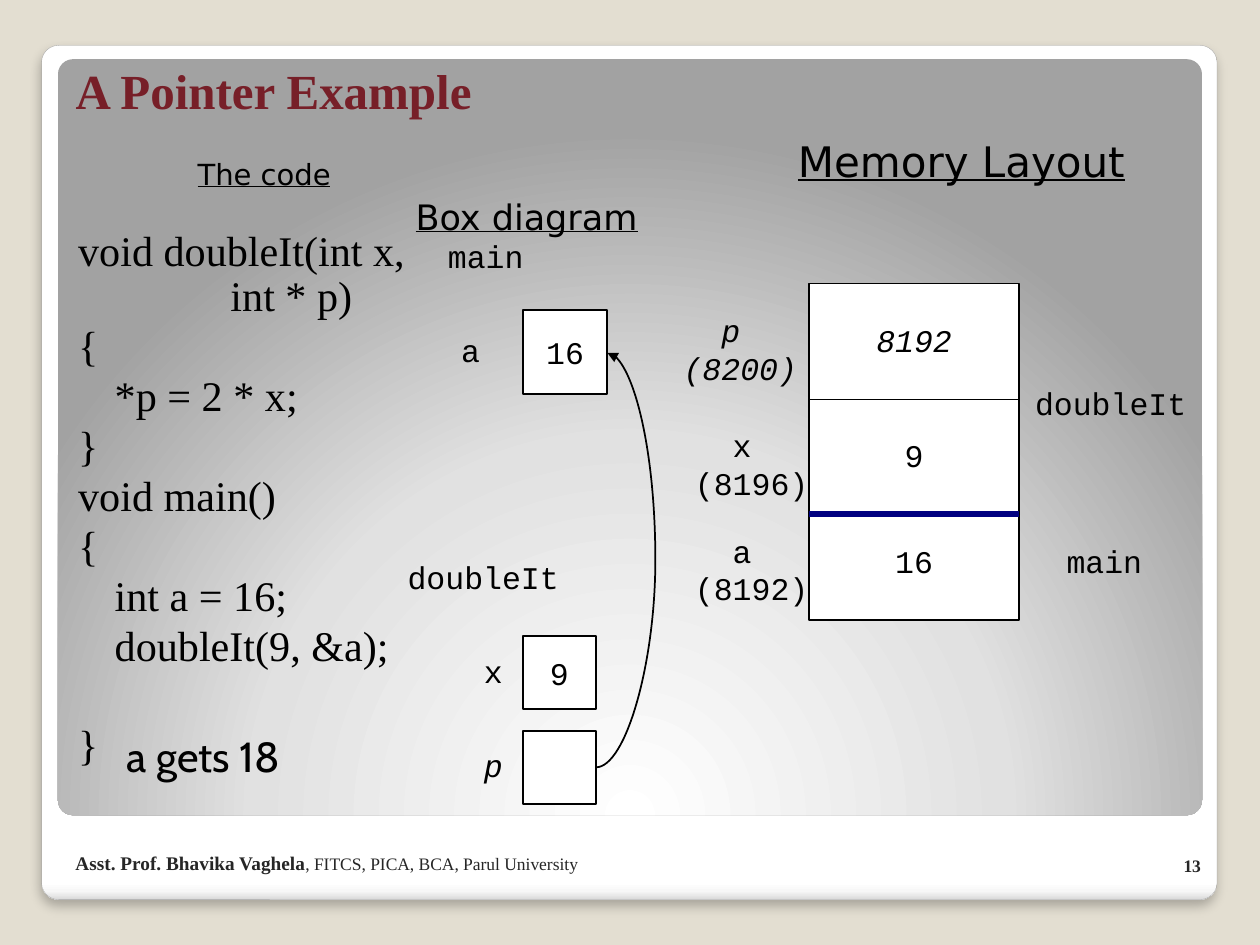
from dataclasses import dataclass

from lxml.etree import SubElement
from pptx import Presentation
from pptx.dml.color import RGBColor
from pptx.enum.shapes import MSO_CONNECTOR, MSO_SHAPE
from pptx.enum.text import MSO_ANCHOR, PP_ALIGN
from pptx.oxml import parse_xml
from pptx.oxml.ns import nsdecls, qn
from pptx.util import Inches, Pt

BEIGE = RGBColor(0xE3, 0xDE, 0xD1)
WHITE = RGBColor(0xFF, 0xFF, 0xFF)
BLACK = RGBColor(0x00, 0x00, 0x00)
NAVY = RGBColor(0x00, 0x00, 0x80)
MAROON = RGBColor(0x77, 0x1F, 0x28)
CHARCOAL = RGBColor(0x26, 0x26, 0x26)
EDGE_GRAY = RGBColor(0xA4, 0xA4, 0xA4)
FOG = RGBColor(0xF7, 0xF7, 0xF7)
SILVER = RGBColor(0xDA, 0xDA, 0xDA)
MIST = RGBColor(0xE1, 0xE1, 0xE1)
STONE = RGBColor(0xA2, 0xA2, 0xA2)

SERIF = "Times New Roman"
MONO = {"name": "Courier New", "size": Pt(18)}
ITALIC_MONO = MONO | {"italic": True}
HEADING = {"name": "DejaVu Sans", "underline": True}
FOOTER = {"name": SERIF, "size": Pt(10), "bold": True}

CODE_LINES = [
    "void doubleIt(int x, \n           int * p)",
    "{", "\t*p = 2 * x;", "}",
    "void main()", "{", "\tint a = 16;", "\tdoubleIt(9, &a);", "}",
]


@dataclass
class Box:
    left: float
    top: float
    width: float
    height: float

    def inside(self, left, top, width, height):
        return Box(self.left + left, self.top + top, width, height)

    def lengths(self):
        return [Inches(v) for v in (self.left, self.top, self.width, self.height)]


def format_font(font, values, color=BLACK):
    for name, value in values.items():
        setattr(font, name, value)
    font.color.rgb = color


def write_text(shape, text, values, color=BLACK, align=PP_ALIGN.CENTER,
               anchor=MSO_ANCHOR.TOP, wrap=False):
    frame = shape.text_frame
    frame.word_wrap = wrap
    frame.vertical_anchor = anchor
    paragraph = frame.paragraphs[0]
    paragraph.text = text
    paragraph.alignment = align
    format_font(paragraph.font, values, color)
    return paragraph


def add_label(slide, box, text, values, **options):
    shape = slide.shapes.add_textbox(*box.lengths())
    return write_text(shape, text, values, **options)


def add_outline(slide, box, kind=MSO_SHAPE.RECTANGLE):
    shape = slide.shapes.add_shape(kind, *box.lengths())
    shape.shadow.inherit = False
    shape.fill.solid()
    shape.fill.fore_color.rgb = WHITE
    shape.line.color.rgb = BLACK
    shape.line.width = Pt(1)
    return shape


def add_line(slide, start, end, kind=MSO_CONNECTOR.STRAIGHT, color=BLACK, width=1):
    line = slide.shapes.add_connector(kind, *[Inches(v) for v in (*start, *end)])
    line.line.color.rgb = color
    line.line.width = Pt(width)
    SubElement(line._element.spPr, qn("a:effectLst"))
    return line


def set_gradient(shape, stops, direction):
    shape.fill.gradient()
    properties = shape._element.spPr
    marks = "".join(
        f'<a:gs pos="{position * 1000}"><a:srgbClr val="{color}"/></a:gs>'
        for position, color in stops)
    properties.replace(properties.find(qn("a:gradFill")), parse_xml(
        f'<a:gradFill {nsdecls("a")} rotWithShape="1">'
        f"<a:gsLst>{marks}</a:gsLst>{direction}</a:gradFill>"))


def add_backdrop(slide, box):
    card = add_outline(slide, box, MSO_SHAPE.ROUNDED_RECTANGLE)
    panel = add_outline(slide, box.inside(0.13, 0.11, 9.08, 6), MSO_SHAPE.ROUNDED_RECTANGLE)
    for shape in (card, panel):
        shape.adjustments[0] = 0.02
    set_gradient(card, [(0, WHITE), (98, WHITE), (99, FOG), (100, SILVER)],
                 '<a:lin ang="5400000" scaled="0"/>')
    card.line.color.rgb = EDGE_GRAY
    card.line.width = Pt(0.16)
    card._element.spPr.find(qn("a:effectLst")).append(parse_xml(
        f'<a:outerShdw {nsdecls("a")} blurRad="{Pt(6)}" dist="{Pt(4)}" dir="5400000">'
        '<a:srgbClr val="000000"><a:alpha val="25000"/></a:srgbClr></a:outerShdw>'))
    set_gradient(panel, [(0, WHITE), (55, MIST), (100, STONE)],
                 '<a:path path="circle">'
                 '<a:fillToRect l="50000" t="175000" r="50000" b="-75000"/></a:path>')
    panel.line.fill.background()


def place_title(slide, box):
    title = slide.shapes.title
    title.left, title.top, title.width, title.height = box.lengths()
    write_text(title, "A Pointer Example", {"name": SERIF, "size": Pt(28), "bold": True},
               color=MAROON, align=PP_ALIGN.LEFT, anchor=MSO_ANCHOR.BOTTOM, wrap=True)


def add_code(slide, box):
    shape = slide.shapes.add_textbox(*box.lengths())
    write_text(shape, "The code", HEADING | {"size": Pt(16.6)}, wrap=True)
    frame = shape.text_frame
    margins = {"margin_left": 0.2, "margin_top": 0.1, "margin_right": 0.1, "margin_bottom": 0.05}
    for name, value in margins.items():
        setattr(frame, name, Inches(value))
    frame.paragraphs[0].line_spacing = 0.9
    gaps = [22] + [2.5] * (len(CODE_LINES) - 2) + [31]
    for text, gap in zip(CODE_LINES, gaps):
        paragraph = frame.add_paragraph()
        paragraph.text = text
        paragraph.line_spacing = 0.9
        paragraph.space_before = Pt(gap)
        properties = paragraph._p.get_or_add_pPr()
        properties.set("marL", str(Inches(0.29)))
        properties.set("indent", str(Inches(-0.29)))
        format_font(paragraph.font, {"name": SERIF, "size": Pt(24.1)})
    add_label(slide, box.inside(0.41, 4.58, 1.57, 0.5), "a gets 18",
              {"name": "Cabin", "size": Pt(24)})


def add_box_diagram(slide, box):
    add_label(slide, box.inside(0, 0, box.width, 0.61), "Box diagram", HEADING | {"size": Pt(20)})
    add_label(slide, box.inside(0.71, 0.33, 0.87, 0.43), "main", MONO)
    add_label(slide, box.inside(0.36, 2.88, 1.53, 0.43), "doubleIt", MONO)
    cell_left = 1.44
    cells = [
        ("a", "16", 0.96, 0.67, 0.84, MONO),
        ("x", "9", 3.55, 0.58, 1.02, MONO),
        ("p", "", 4.3, 0.58, 1.02, ITALIC_MONO),
    ]
    for name, value, top, side, label_left, values in cells:
        cell = add_outline(slide, box.inside(cell_left, top, side, side))
        if value:
            write_text(cell, value, MONO, anchor=MSO_ANCHOR.MIDDLE)
        add_label(slide, box.inside(label_left, top + (side - 0.43) / 2, 0.37, 0.43), name, values)
    arrow = add_line(slide, (box.left + 2.02, box.top + 4.59), (box.left + 2.11, box.top + 1.3),
                     MSO_CONNECTOR.CURVE)
    guides = arrow._element.spPr.find(qn("a:prstGeom")).get_or_add_avLst()
    SubElement(guides, qn("a:gd"), name="adj1", fmla="val 522900")
    SubElement(arrow.line._get_or_add_ln(), qn("a:tailEnd"), type="triangle")


def add_memory_layout(slide, box):
    add_label(slide, box.inside(0.83, 0, 3.1, 0.9), "Memory Layout", HEADING | {"size": Pt(24)})
    left, width = 1.17, 1.67
    add_outline(slide, box.inside(left, 1.22, width, 2.67))
    rows = [
        ("p \n(8200)", "8192", 1.39, 0, ITALIC_MONO),
        ("x \n(8196)", "9", 2.3, 0.09, MONO),
        ("a \n(8192)", "16", 3.14, 0.09, MONO),
    ]
    for label, value, top, label_left, values in rows:
        add_label(slide, box.inside(label_left, top, 1.25, 0.7), label, values)
        add_label(slide, box.inside(left, top + 0.08, width, 0.43), value, values)
    for top, color, weight in [(2.14, BLACK, 1), (3.05, NAVY, 3)]:
        start = box.left + left
        add_line(slide, (start, box.top + top), (start + width, box.top + top),
                 color=color, width=weight)
    add_label(slide, box.inside(2.8, 1.97, 1.53, 0.43), "doubleIt", MONO)
    add_label(slide, box.inside(3.08, 3.22, 0.87, 0.43), "main", MONO)


def add_footer(slide, box):
    paragraph = add_label(slide, box.inside(0, 0.07, 4.58, 0.32), "Asst. Prof. Bhavika Vaghela",
                          FOOTER | {"size": Pt(11)}, color=CHARCOAL,
                          align=PP_ALIGN.LEFT, anchor=MSO_ANCHOR.BOTTOM, wrap=True)
    affiliation = paragraph.add_run()
    affiliation.text = ", FITCS, PICA, BCA, Parul University"
    format_font(affiliation.font, FOOTER | {"bold": False}, CHARCOAL)
    add_label(slide, box.inside(box.width - 0.5, 0, 0.5, 0.4), "13", FOOTER, color=CHARCOAL,
              align=PP_ALIGN.RIGHT, anchor=MSO_ANCHOR.BOTTOM, wrap=True)


def main():
    presentation = Presentation()
    presentation.slide_width = Inches(10)
    presentation.slide_height = Inches(7.5)
    slide = presentation.slides.add_slide(presentation.slide_layouts[5])
    slide.background.fill.solid()
    slide.background.fill.fore_color.rgb = BEIGE
    add_backdrop(slide, Box(0.33, 0.36, 9.33, 6.78))
    slide.shapes._spTree.append(slide.shapes.title._element)
    place_title(slide, Box(0.5, 0.17, 9, 0.83))
    add_box_diagram(slide, Box(2.71, 1.5, 2.94, 4.88))
    add_memory_layout(slide, Box(5.25, 1.03, 4.33, 3.89))
    add_code(slide, Box(0.42, 1.17, 3.25, 5.17))
    add_footer(slide, Box(0.5, 6.6, 9.13, 0.4))
    presentation.save("out.pptx")


if __name__ == "__main__":
    main()
